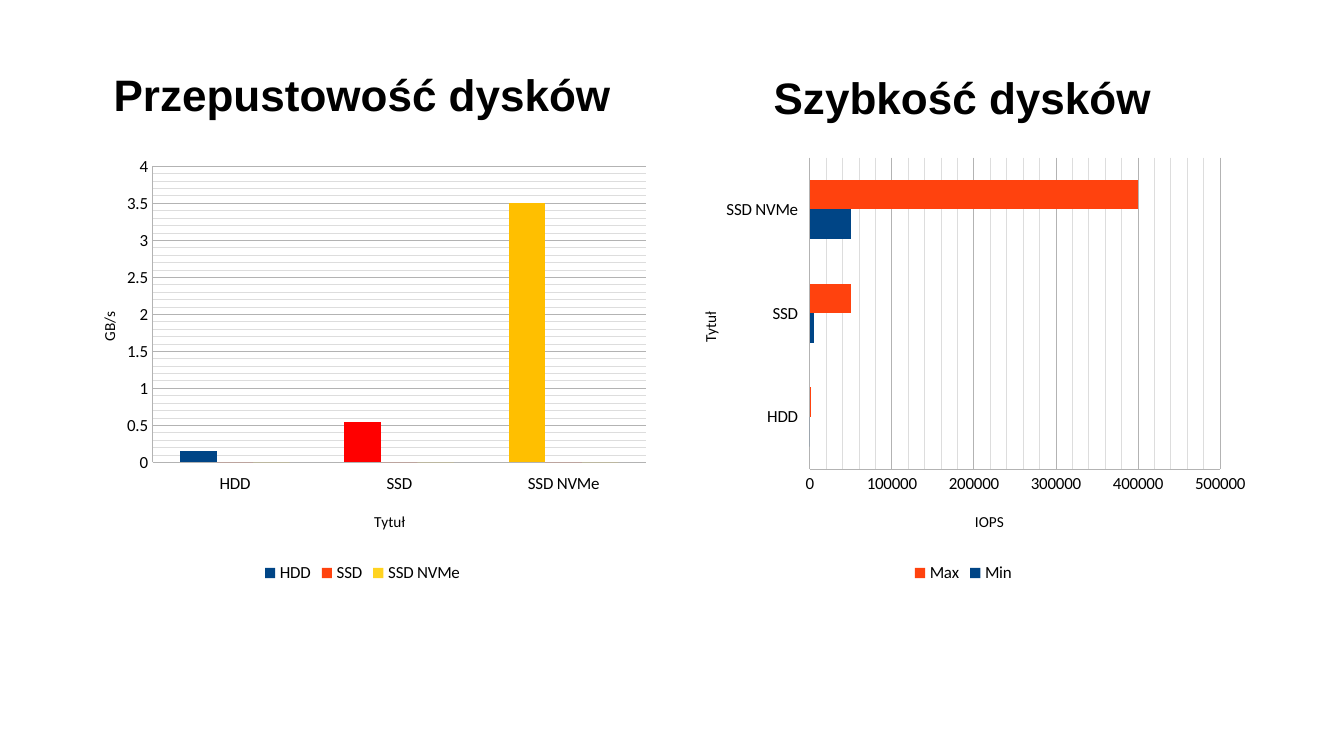
"""Build a slide with two charts comparing the throughput and speed of disks."""
import copy

import pptx
import pptx.chart.data
import pptx.dml.color
import pptx.enum.chart
import pptx.enum.text
import pptx.oxml
import pptx.oxml.ns
import pptx.util
from pptx.util import Cm

qn = pptx.oxml.ns.qn


def color(value):
    return pptx.dml.color.RGBColor.from_string(value)


def set_layout(element, index, target, **fractions):
    for layout in element.findall(qn("c:layout")):
        element.remove(layout)
    parts = [f'<c:{key}Mode val="edge"/>' for key in "xy"]
    parts += [f'<c:{key} val="{value}"/>' for key, value in fractions.items()]
    element.insert(index, pptx.oxml.parse_xml(
        f'<c:layout {pptx.oxml.ns.nsdecls("c")}><c:manualLayout>{target}'
        f'{"".join(parts)}</c:manualLayout></c:layout>'))


presentation = pptx.Presentation()
presentation.slide_width = Cm(28)
presentation.slide_height = Cm(15.75)
slide = presentation.slides.add_slide(presentation.slide_layouts[0])

headings = [("Przepustowość dysków", 1.5, 1.4), ("Szybkość dysków", 14, 1.45)]
for placeholder, (text, left, top) in zip(slide.placeholders, headings):
    placeholder.left, placeholder.top = Cm(left), Cm(top)
    placeholder.width, placeholder.height = Cm(12.1), Cm(1.12)
    frame = placeholder.text_frame
    frame.text = text
    frame.word_wrap = True
    frame.vertical_anchor = pptx.enum.text.MSO_ANCHOR.MIDDLE
    frame.margin_left = frame.margin_right = frame.margin_top = frame.margin_bottom = 0
    paragraph = frame.paragraphs[0]
    paragraph.alignment = pptx.enum.text.PP_ALIGN.CENTER
    paragraph.space_before = pptx.util.Pt(0)
    paragraph.font.name = "Arial"
    paragraph.font.size = pptx.util.Pt(26)
    paragraph.font.bold = True
    paragraph.font.color.rgb = color("000000")

chart_types = pptx.enum.chart.XL_CHART_TYPE
charts = [
    dict(kind=chart_types.COLUMN_CLUSTERED, left=1.4, value_title="GB/s",
         maximum=4, major=0.5, minor=0.1,
         plot=dict(x=0.145, y=0.04, w=0.835, h=0.675),
         series=[("HDD", (0.15, 0.55, 3.5), "004586"),
                 ("SSD", (0, 0, 0), "FF420E"),
                 ("SSD NVMe", (0, 0, 0), "FFD320")],
         points={1: "FF0000", 2: "FFBF00"}),
    dict(kind=chart_types.BAR_CLUSTERED, left=13.92, value_title="IOPS",
         maximum=500000, major=100000, minor=20000,
         plot=dict(x=0.24, y=0.02, w=0.695, h=0.71),
         series=[("Min", (0, 5000, 50000), "004586"),
                 ("Max", (200, 50000, 400000), "FF420E")],
         points={}),
]

for settings in charts:
    data = pptx.chart.data.CategoryChartData()
    data.categories = ["HDD", "SSD", "SSD NVMe"]
    for name, values, fill in settings["series"]:
        data.add_series(name, values)
    chart = slide.shapes.add_chart(settings["kind"], Cm(settings["left"]), Cm(3.1),
                                   Cm(12.3), Cm(9.14), data).chart
    chart.has_title = False
    chart.has_legend = True
    chart.legend.position = pptx.enum.chart.XL_LEGEND_POSITION.BOTTOM
    chart.legend.include_in_layout = False
    set_layout(chart.element.find(".//" + qn("c:plotArea")), 0,
               '<c:layoutTarget val="inner"/>', **settings["plot"])

    plot = chart.plots[0]
    plot.gap_width = 150
    plot.overlap = 0
    plot.vary_by_categories = False
    for series, (name, values, fill) in zip(plot.series, settings["series"]):
        series.invert_if_negative = False
        series.format.fill.solid()
        series.format.fill.fore_color.rgb = color(fill)
    for index, fill in settings["points"].items():
        point_fill = plot.series[0].points[index].format.fill
        point_fill.solid()
        point_fill.fore_color.rgb = color(fill)

    value_axis, category_axis = chart.value_axis, chart.category_axis
    value_axis.minimum_scale = 0
    value_axis.maximum_scale = settings["maximum"]
    value_axis.major_unit = settings["major"]
    value_axis.minor_unit = settings["minor"]
    value_axis.has_major_gridlines = value_axis.has_minor_gridlines = True
    category_axis.tick_label_position = pptx.enum.chart.XL_TICK_LABEL_POSITION.LOW

    for line in (value_axis.format.line, category_axis.format.line,
                 value_axis.major_gridlines.format.line):
        line.width = pptx.util.Pt(0.5)
        line.color.rgb = color("B3B3B3")
    major_style = chart.element.find(f'.//{qn("c:majorGridlines")}/{qn("c:spPr")}')
    minor_style = copy.deepcopy(major_style)
    minor_style.find(".//" + qn("a:srgbClr")).set("val", "DDDDDD")
    chart.element.find(".//" + qn("c:minorGridlines")).append(minor_style)

    fonts = [(chart.font, 10), (chart.legend.font, 10)]
    is_column = settings["kind"] == chart_types.COLUMN_CLUSTERED
    for axis, title, vertical in [(category_axis, "Tytuł", not is_column),
                                  (value_axis, settings["value_title"], is_column)]:
        axis.major_tick_mark = axis.minor_tick_mark = pptx.enum.chart.XL_TICK_MARK.NONE
        axis.axis_title.text_frame.text = title
        element = axis.axis_title.element
        element.find(".//" + qn("a:bodyPr")).set("rot", "-5400000" if vertical else "0")
        position = dict(x=0.05, y=0.365) if vertical else dict(x=0.515, y=0.82)
        set_layout(element, 1, "", **position)
        fonts += [(axis.tick_labels.font, 10),
                  (axis.axis_title.text_frame.paragraphs[0].font, 9)]
    for font, size in fonts:
        font.name = "Calibri"
        font.size = pptx.util.Pt(size)
        font.bold = False
        font.color.rgb = color("000000")

presentation.save("out.pptx")
